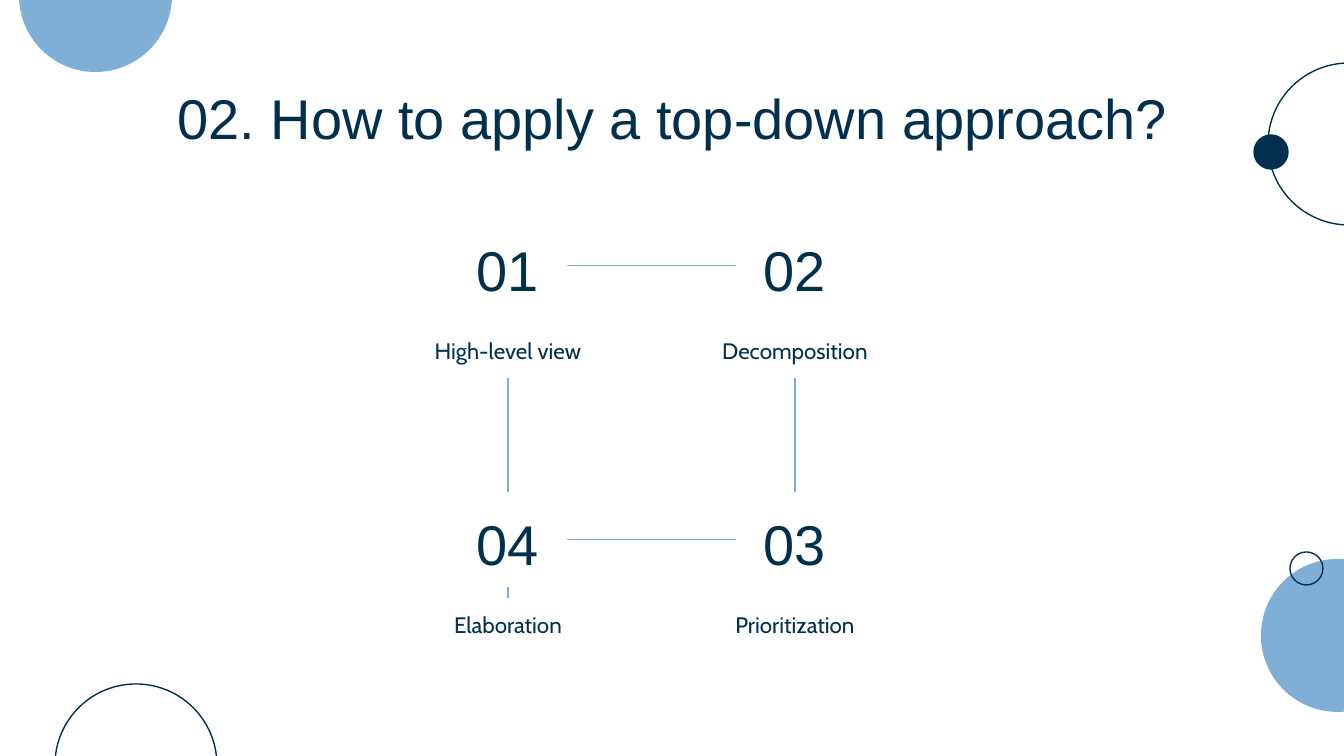
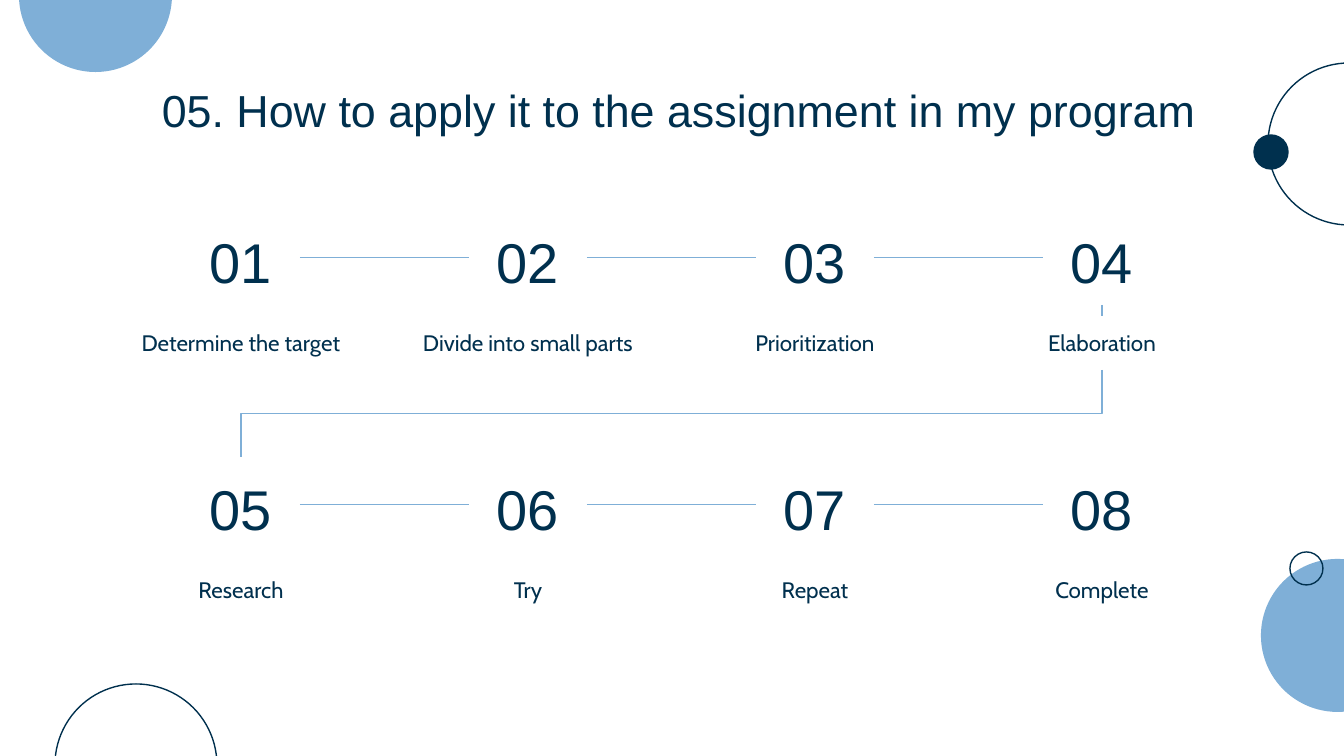
import pptx
import pptx.util
import pptx.dml.color
import pptx.enum.shapes
import pptx.enum.text
import pptx.oxml

NAVY = pptx.dml.color.RGBColor(0x00, 0x30, 0x4E)
SKY = pptx.dml.color.RGBColor(0x7F, 0xAF, 0xD7)
WHITE = pptx.dml.color.RGBColor(0xFF, 0xFF, 0xFF)
HEADING_FONT, BODY_FONT = "Arial", "Cabin"
SCALE = 914400 / 134.4
PAGE_WIDTH, PAGE_HEIGHT = 1344, 756
INSET = 13
NUMBER_WIDTH, NUMBER_HEIGHT = 118, 95
LABEL_WIDTH, LABEL_HEIGHT, LABEL_DROP = 266, 54, 106
COLUMN_PITCH = 287
TOP, LEFT, BOTTOM, RIGHT = range(4)
CIRCLES = [
    (19, -81, 153, SKY, None),
    (55, 684, 162, None, NAVY),
    (1261, 559, 153, SKY, None),
    (1290, 552, 33, None, NAVY),
    (1268, 63, 162, None, NAVY),
    (1254, 135, 34, NAVY, NAVY),
]


def px(length):
    """Turn pixels into EMU."""
    return pptx.util.Emu(round(length * SCALE))


def add_text(page, box, text, size, font, drop=0):
    """Add one centred line of text, lowered by drop pixels."""
    shape = page.shapes.add_textbox(*map(px, box))
    frame = shape.text_frame
    frame.word_wrap = True
    frame.vertical_anchor = pptx.enum.text.MSO_ANCHOR.TOP
    frame.margin_left = frame.margin_right = frame.margin_bottom = px(INSET)
    frame.margin_top = px(INSET + drop)
    frame.text = text
    para = frame.paragraphs[0]
    para.alignment = pptx.enum.text.PP_ALIGN.CENTER
    span = para.runs[0]
    span.font.size = pptx.util.Pt(size)
    span.font.name = font
    span.font.color.rgb = NAVY
    return shape


def add_circle(page, left, top, diameter, fill, line):
    """Add a decorative circle."""
    shape = page.shapes.add_shape(
        pptx.enum.shapes.MSO_SHAPE.OVAL, px(left), px(top), px(diameter), px(diameter))
    shape.shadow.inherit = False
    if fill is None:
        shape.fill.background()
    else:
        shape.fill.solid()
        shape.fill.fore_color.rgb = fill
    if line is None:
        shape.line.fill.background()
    else:
        shape.line.color.rgb = line
        shape.line.width = pptx.util.Pt(0.75)


def add_page(deck, title, width, size, drop):
    """Add a page with its background, circles and title."""
    page = deck.slides.add_slide(deck.slide_layouts[6])
    page.background.fill.solid()
    page.background.fill.fore_color.rgb = WHITE
    for circle in CIRCLES:
        add_circle(page, *circle)
    add_text(page, (106, 66, width, 85), title, size, HEADING_FONT, drop)
    return page


def add_step(page, left, top, number, label):
    """Add a number with its label below and return both."""
    heading = add_text(page, (left, top, NUMBER_WIDTH, NUMBER_HEIGHT),
                       f"{number:02}", 30, HEADING_FONT, 5)
    indent = (LABEL_WIDTH - NUMBER_WIDTH) // 2
    caption = add_text(page, (left - indent, top + LABEL_DROP, LABEL_WIDTH, LABEL_HEIGHT),
                       label, 12, BODY_FONT)
    return heading, caption


def style_link(link):
    """Give a connector its colour and width without a shadow."""
    link.line.color.rgb = SKY
    link.line.width = pptx.util.Pt(0.75)
    properties = link._element.spPr
    properties.append(pptx.oxml.parse_xml(
        '<a:effectLst xmlns:a="http://schemas.openxmlformats.org/drawingml/2006/main"/>'))


def join(page, start, start_side, end, end_side):
    """Join the sides of two boxes with a straight line."""
    link = page.shapes.add_connector(pptx.enum.shapes.MSO_CONNECTOR.STRAIGHT, 0, 0, 0, 0)
    link.begin_connect(start, start_side)
    link.end_connect(end, end_side)
    style_link(link)


def join_rows(page, upper, lower):
    """Lead from the bottom of a box on the right to the top of one on the left."""
    start_x, end_x = (box.left + box.width // 2 for box in (upper, lower))
    start_y, end_y = upper.top + upper.height, lower.top
    run, rise = start_x - end_x, end_y - start_y
    left = (start_x + end_x - rise) // 2
    top = (start_y + end_y - run) // 2
    link = page.shapes.add_connector(
        pptx.enum.shapes.MSO_CONNECTOR.ELBOW, left, top, left + rise, top + run)
    link._element.spPr.find(pptx.oxml.ns.qn("a:xfrm")).set("rot", str(90 * 60000))
    style_link(link)


def add_cycle(page, left, top, labels):
    """Place four steps clockwise on a square and join them."""
    row_pitch = 274
    corners = [(0, 0), (1, 0), (1, 1), (0, 1)]
    steps = [
        add_step(page, left + column * COLUMN_PITCH, top + row * row_pitch, number, label)
        for number, ((column, row), label) in enumerate(zip(corners, labels), 1)
    ]
    first, second, third, fourth = steps
    join(page, second[1], BOTTOM, third[0], TOP)
    join(page, *(fourth[0], BOTTOM), *(fourth[1], TOP))
    join(page, fourth[0], TOP, first[1], BOTTOM)
    join(page, first[0], RIGHT, second[0], LEFT)
    join(page, third[0], LEFT, fourth[0], RIGHT)


def add_path(page, left, top, rows):
    """Place rows of steps read from left to right and join them."""
    row_pitch = 247
    placed = []
    for row, labels in enumerate(rows):
        placed.append([
            add_step(page, left + column * COLUMN_PITCH, top + row * row_pitch,
                     row * len(labels) + column + 1, label)
            for column, label in enumerate(labels)
        ])
        for (heading, _), (following, _) in zip(placed[-1], placed[-1][1:]):
            join(page, heading, RIGHT, following, LEFT)
    for upper, lower in zip(placed, placed[1:]):
        heading, caption = upper[-1]
        join(page, heading, BOTTOM, caption, TOP)
        join_rows(page, caption, lower[0][0])


def main():
    """Build and save the deck."""
    deck = pptx.Presentation()
    deck.slide_width, deck.slide_height = px(PAGE_WIDTH), px(PAGE_HEIGHT)
    page = add_page(deck, "02. How to apply a top-down approach?", 1133, 30, 5)
    add_cycle(page, 449, 218,
              ["High-level view", "Decomposition", "Prioritization", "Elaboration"])
    page = add_page(deck, "05. How to apply it to the assignment in my program", 1145, 24, 4)
    add_path(page, 182, 210, [
        ["Determine the target", "Divide into small parts", "Prioritization", "Elaboration"],
        ["Research", "Try", "Repeat", "Complete"],
    ])
    deck.save("out.pptx")


if __name__ == "__main__":
    main()
